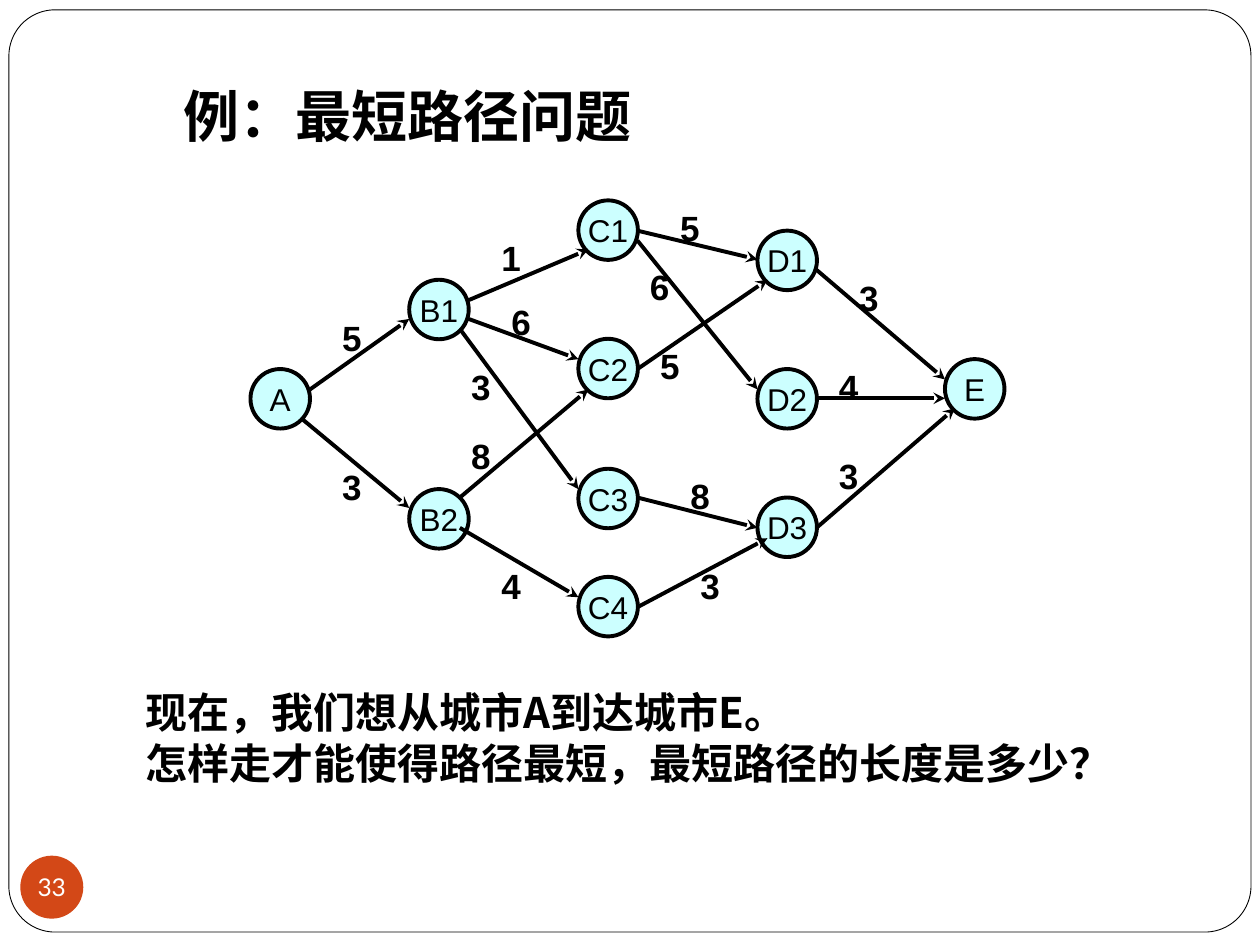
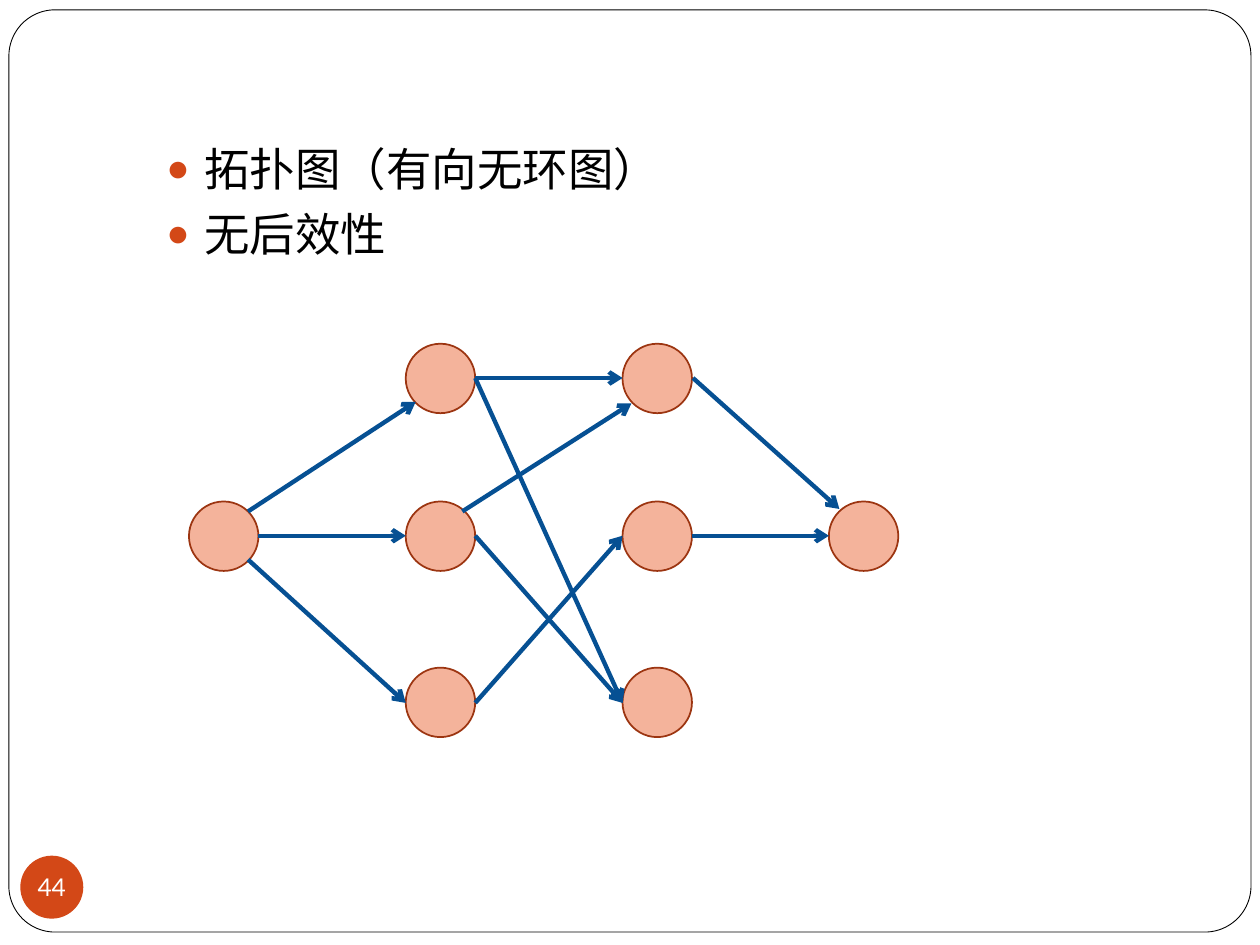
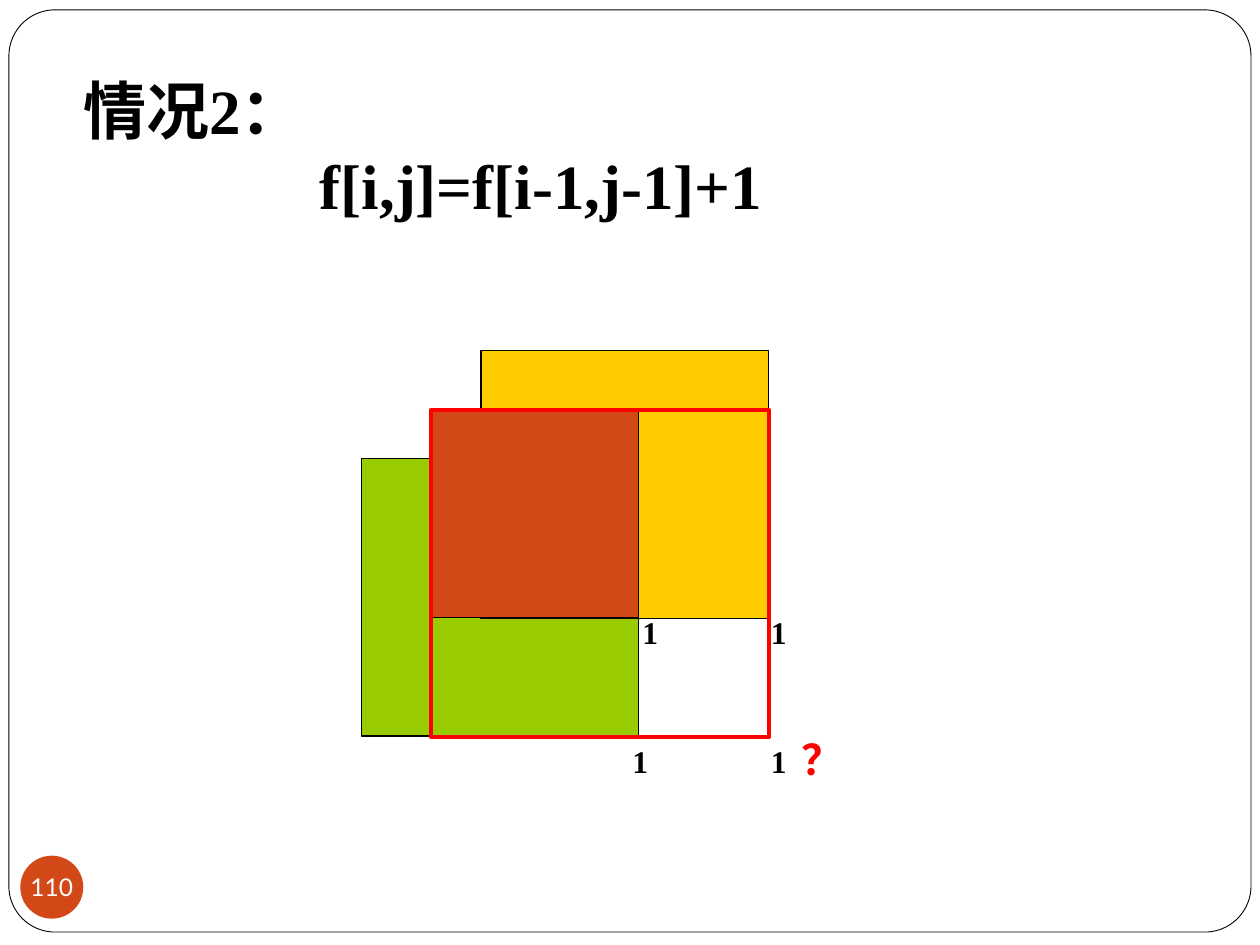
from lxml import etree
from pptx import Presentation
from pptx.dml.color import RGBColor
from pptx.enum.dml import MSO_LINE
from pptx.enum.shapes import MSO_CONNECTOR, MSO_SHAPE
from pptx.enum.text import MSO_ANCHOR, MSO_AUTO_SIZE as AUTO, PP_ALIGN
from pptx.oxml.ns import qn
from pptx.util import Cm, Pt

BLACK = RGBColor(0x00, 0x00, 0x00)
WHITE = RGBColor(0xFF, 0xFF, 0xFF)
RED = RGBColor(0xFF, 0x00, 0x00)
ORANGE = RGBColor(0xD3, 0x48, 0x17)
CYAN = RGBColor(0xCC, 0xFF, 0xFF)
PEACH = RGBColor(0xF4, 0xB3, 0x9B)
BROWN = RGBColor(0x9C, 0x35, 0x11)
BLUE = RGBColor(0x06, 0x50, 0x93)
GREEN = RGBColor(0x99, 0xCC, 0x00)
YELLOW = RGBColor(0xFF, 0xCC, 0x00)
CJK = "Noto Sans CJK SC"
SERIF = "Times New Roman"


def add_shape(s, kind, box, fill=None, line=None, weight=0.75):
    sp = s.shapes.add_shape(kind, *[Cm(v) for v in box])
    sp.shadow.inherit = False
    if fill is None:
        sp.fill.background()
    else:
        sp.fill.solid()
        sp.fill.fore_color.rgb = fill
    if line is None:
        sp.line.fill.background()
    else:
        sp.line.color.rgb = line
        sp.line.width = Pt(weight)
    return sp


def set_text(tf, text, size, font, color=BLACK, bold=False, align=PP_ALIGN.LEFT):
    tf.text = text
    for p in tf.paragraphs:
        p.alignment = align
        p.space_before = Pt(0)
        for r in p.runs:
            r.font.size = Pt(size)
            r.font.bold = bold
            r.font.color.rgb = color
            r.font.name = font
            ea = etree.Element(qn("a:ea"), typeface=CJK)
            r.font._element.find(qn("a:latin")).addnext(ea)


prs = Presentation()
prs.slide_width, prs.slide_height = Cm(25.4), Cm(19.05)
title_only, title_content = prs.slide_layouts[5], prs.slide_layouts[1]
s1, s2, s3 = [prs.slides.add_slide(l) for l in (title_only, title_content, title_only)]

frame = add_shape(s1, MSO_SHAPE.ROUNDED_RECTANGLE, (0.18, 0.2, 25.04, 18.59), WHITE, BLACK, 0.5)
frame.adjustments[0] = 0.05
prs.slide_master.shapes._spTree.insert(2, frame._element)

for s, number in ((s1, "33"), (s2, "44"), (s3, "110")):
    sp = add_shape(s, MSO_SHAPE.OVAL, (0.41, 17.25, 1.27, 1.27), ORANGE)
    tf = sp.text_frame
    tf.margin_left = tf.margin_right = tf.margin_top = tf.margin_bottom = 0
    tf.word_wrap = False
    set_text(tf, number, 14, "Lato", WHITE, align=PP_ALIGN.CENTER)

titles = [
    (s1, "例：最短路径问题", 32, (3.45, 1.52, 13.44, 1.63)),
    (s3, "情况2：", 36, (1.42, 1.32, 5, 1.8)),
]
for s, text, size, box in titles:
    sp = s.shapes.title
    sp.left, sp.top, sp.width, sp.height = [Cm(v) for v in box]
    sp.text_frame.vertical_anchor = MSO_ANCHOR.TOP
    sp.text_frame.auto_size = AUTO.SHAPE_TO_FIT_TEXT
    set_text(sp.text_frame, text, size, SERIF, bold=True)

cities = [
    ("A", 5.05, 7.44), ("B1", 8.25, 5.64), ("B2", 8.25, 9.86),
    ("C1", 11.66, 4.04), ("C2", 11.66, 6.83), ("C3", 11.66, 9.45), ("C4", 11.66, 11.63),
    ("D1", 15.27, 4.65), ("D2", 15.27, 7.44), ("D3", 15.27, 10.03), ("E", 19.05, 7.24),
]
for name, x, y in cities:
    sp = add_shape(s1, MSO_SHAPE.OVAL, (x, y, 1.2, 1.2), CYAN, BLACK, 2.25)
    sp.text_frame.word_wrap = False
    set_text(sp.text_frame, name, 18, "Arial", align=PP_ALIGN.CENTER)

roads = [
    ((6.25, 7.85, 8.25, 6.43), "5", 6.65, 6.25),
    ((6.07, 8.43, 8.25, 10.24), "3", 6.65, 9.25),
    ((9.45, 6.05, 11.86, 5.03), "1", 9.86, 4.65),
    ((9.45, 6.43, 11.66, 7.24), "6", 10.06, 5.94),
    ((9.27, 6.63, 11.66, 9.86), "3", 9.25, 7.24),
    ((9.27, 10.03, 11.86, 7.85), "8", 9.25, 8.64),
    ((9.27, 10.64, 11.66, 12.04), "4", 9.86, 11.25),
    ((12.85, 4.65, 15.27, 5.23), "5", 13.46, 4.04),
    ((12.85, 4.85, 15.27, 7.85), "6", 12.85, 5.23),
    ((12.85, 7.44, 15.47, 5.64), "5", 13.06, 6.83),
    ((12.85, 10.03, 15.27, 10.64), "8", 13.67, 9.45),
    ((12.85, 12.24, 15.47, 10.85), "3", 13.87, 11.25),
    ((16.46, 5.44, 19.05, 7.65), "3", 17.07, 5.44),
    ((16.46, 8.03, 19.05, 8.03), "4", 16.66, 7.24),
    ((16.46, 10.64, 19.25, 8.23), "3", 16.66, 9.04),
]

s2.shapes.title._element.getparent().remove(s2.shapes.title._element)
body = s2.placeholders[1]
body.left, body.top, body.width, body.height = Cm(3.1), Cm(2.72), Cm(13), Cm(5.13)
set_text(body.text_frame, "拓扑图（有向无环图）\n无后效性", 26, CJK)
body.text_frame.paragraphs[1].space_before = Pt(5.8)
for p in body.text_frame.paragraphs:
    pPr = p._p.get_or_add_pPr()
    pPr.set("marL", str(Cm(0.76)))
    pPr.set("indent", str(-Cm(0.76)))
    color = etree.SubElement(pPr, qn("a:buClr"))
    etree.SubElement(color, qn("a:srgbClr"), val=str(ORANGE))
    etree.SubElement(pPr, qn("a:buSzPct"), val="85000")
    etree.SubElement(pPr, qn("a:buFont"), typeface="Arial")
    etree.SubElement(pPr, qn("a:buChar"), char="●")

top, middle, bottom = 6.93, 10.11, 13.46
columns = [(3.81, [middle]), (8.18, [top, middle, bottom]),
           (12.55, [top, middle, bottom]), (16.71, [middle])]
for x, rows in columns:
    for y in rows:
        add_shape(s2, MSO_SHAPE.OVAL, (x, y, 1.4, 1.4), PEACH, BROWN, 1)

y1, y2, y3 = 7.62, 10.8, 14.17
edges = [
    (5, 10.31, 8.38, 8.1), (5.21, y2, 8.18, y2), (5, 11.28, 8.18, y3),
    (9.58, y1, 12.55, y1), (9.58, y1, 12.55, y3), (9.58, y2, 12.55, y3),
    (9.58, y3, 12.55, y2), (13.97, y1, 16.92, 10.26), (13.95, y2, 16.71, y2),
    (9.32, 10.31, 12.73, 8.13),
]

squares = [
    ((7.29, 9.25, 5.59, 5.59), GREEN),
    ((9.7, 7.06, 5.79, 5.41), YELLOW),
    ((8.69, 8.26, 4.19, 4.19), ORANGE),
]
for box, fill in squares:
    add_shape(s3, MSO_SHAPE.RECTANGLE, box, fill, BLACK)

line_sets = [
    (s1, [road[0] for road in roads], BLACK, 2.25, "stealth", None),
    (s2, edges, BLUE, 2.5, "arrow", None),
    (s3, [(15.49, 12.45, 15.49, 14.86)], BLACK, 0.75, None, MSO_LINE.ROUND_DOT),
    (s3, [(12.9, 14.86, 15.49, 14.86)], BLACK, 0.75, None, None),
]
for s, ends, color, weight, head, dash in line_sets:
    for end in ends:
        cxn = s.shapes.add_connector(MSO_CONNECTOR.STRAIGHT, *[Cm(v) for v in end])
        cxn.line.color.rgb = color
        cxn.line.width = Pt(weight)
        if dash:
            cxn.line.dash_style = dash
        if head:
            etree.SubElement(cxn.line._get_or_add_ln(), qn("a:tailEnd"), type=head)
        etree.SubElement(cxn._element.spPr, qn("a:effectLst"))

add_shape(s3, MSO_SHAPE.RECTANGLE, (8.69, 8.26, 6.81, 6.6), None, RED, 2.25)

texts = [(s1, label, (x, y, 1, 1.12), 20, "Arial", BLACK) for _, label, x, y in roads]
corners = [(15.29, 14.83), (15.29, 12.24), (12.7, 12.24), (12.5, 14.83)]
texts += [(s3, "1", (x, y, 1.2, 1.02), 18, SERIF, BLACK) for x, y in corners]
texts += [
    (s1, "现在，我们想从城市A到达城市E。\v怎样走才能使得路径最短，最短路径的长度是多少？",
     (2.69, 13.72, 20.32, 2.31), 24, CJK, BLACK),
    (s3, "？", (15.9, 14.66, 1, 1.27), 24, SERIF, RED),
    (s3, "f[i,j]=f[i-1,j-1]+1", (6.2, 2.82, 12.8, 1.8), 36, SERIF, BLACK),
]
for s, text, box, size, font, color in texts:
    tf = s.shapes.add_textbox(*[Cm(v) for v in box]).text_frame
    tf.word_wrap = True
    tf.auto_size = AUTO.SHAPE_TO_FIT_TEXT
    set_text(tf, text, size, font, color, bold=True)

prs.save("out.pptx")
